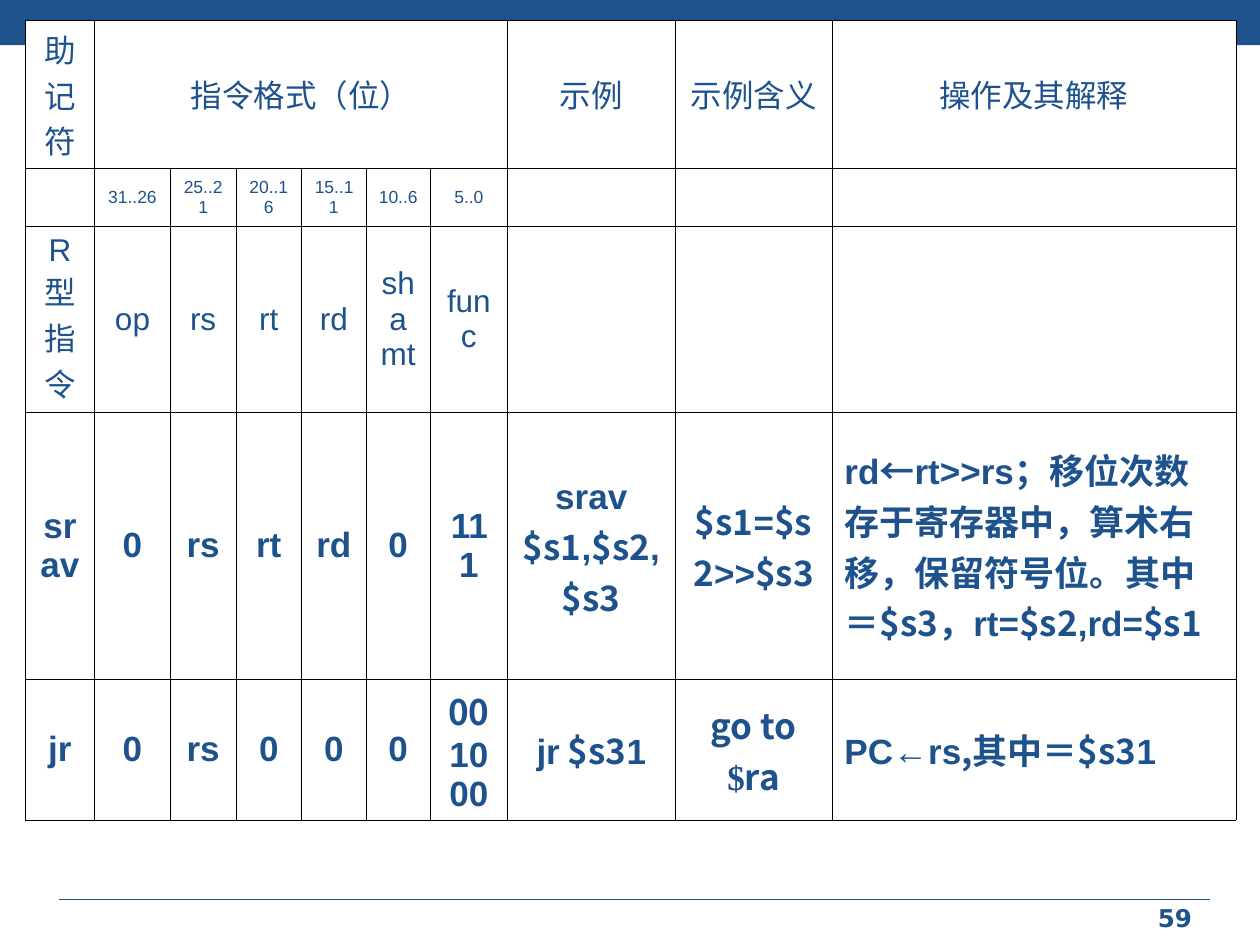
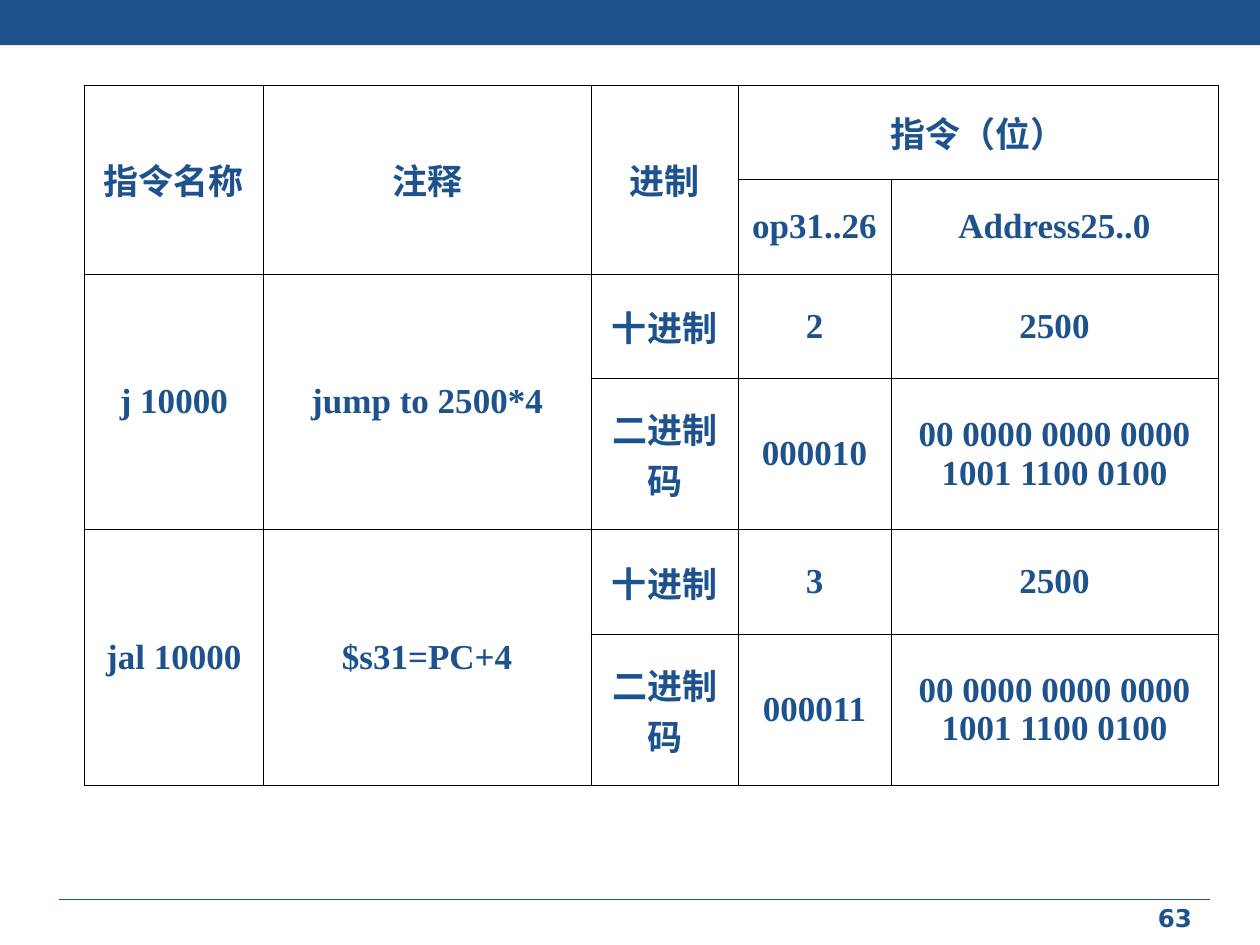
from itertools import cycle

from lxml.etree import SubElement
from pptx import Presentation
from pptx.dml.color import RGBColor
from pptx.enum.shapes import MSO_CONNECTOR as CONN, MSO_SHAPE as SHAPE
from pptx.enum.text import MSO_ANCHOR as ANCHOR, PP_ALIGN as ALIGN
from pptx.oxml.ns import qn
from pptx.util import Inches, Pt

COLORS = {"navy": "1D528D", "white": "FFFFFF", "grid": "000000"}
FONTS = {"sans": "Arial", "cjk": "Noto Sans CJK SC",
         "serif": "Times New Roman", "number": "DejaVu Sans"}
W, H = Inches(10), Inches(7.5)
BAND = (0, 0, 1, 0.048)
RULE = (0.047, 0.952, 0.913, 0)
NUMBER = (0.847, 0.949, 0.147, 0.044)


def color(name):
    return RGBColor.from_string(COLORS[name])


def place(box):
    x, y, w, h = box
    return round(x * W), round(y * H), round(w * W), round(h * H)


def mix(*texts):
    return list(zip(cycle(("sans", "cjk")), texts))


def add_runs(p, runs, size, bold):
    for font, text in runs:
        r = p.add_run()
        r.text = text
        style = {"name": FONTS[font], "size": Pt(size), "bold": bold}
        for key, value in style.items():
            setattr(r.font, key, value)
        r.font.color.rgb = color("navy")
        SubElement(r._r.get_or_add_rPr(), qn("a:ea"), typeface=FONTS["cjk"])


def add_frame(s, number):
    band = s.shapes.add_shape(SHAPE.RECTANGLE, *place(BAND))
    band.shadow.inherit = False
    band.fill.solid()
    band.fill.fore_color.rgb = color("navy")
    band.line.fill.background()

    x, y, w, h = place(RULE)
    rule = s.shapes.add_connector(CONN.STRAIGHT, x, y, x + w, y + h)
    rule.line.color.rgb = color("navy")
    rule.line.width = Pt(0.75)
    SubElement(rule._element.spPr, qn("a:effectLst"))

    tf = s.shapes.add_textbox(*place(NUMBER)).text_frame
    tf.word_wrap = True
    p = tf.paragraphs[0]
    p.alignment = ALIGN.CENTER
    p._p.get_or_add_pPr().set("marL", str(Inches(0.24)))
    add_runs(p, [("number", str(number))], 14, True)


def format_cell(cell):
    tcPr = cell._tc.get_or_add_tcPr()
    for side in ("lnL", "lnR", "lnT", "lnB"):
        ln = SubElement(tcPr, qn(f"a:{side}"), w=str(Pt(0.23)))
        fill = SubElement(ln, qn("a:solidFill"))
        SubElement(fill, qn("a:srgbClr"), val=COLORS["grid"])
    cell.fill.solid()
    cell.fill.fore_color.rgb = color("white")
    cell.vertical_anchor = ANCHOR.MIDDLE


def add_grid(s, box, cols, rows, cells, styles, merges, font, left=()):
    x, y, w, h = place(box)
    table = s.shapes.add_table(len(rows), len(cols), x, y, w, h).table
    table.first_row = table.horz_banding = False
    for tracks, shares, attr, length in ((table.columns, cols, "width", w),
                                         (table.rows, rows, "height", h)):
        for track, share in zip(tracks, shares):
            setattr(track, attr, round(length * share / sum(shares)))
    for i, (row, (size, bold)) in enumerate(zip(cells, styles)):
        for j, content in enumerate(row):
            cell = table.cell(i, j)
            format_cell(cell)
            p = cell.text_frame.paragraphs[0]
            p.alignment = ALIGN.LEFT if (i, j) in left else ALIGN.CENTER
            if not content:
                p.font.size = Pt(size)
                continue
            runs = [(font, content)] if isinstance(content, str) else content
            add_runs(p, runs, size, bold)
    for (top, start), (bottom, end) in merges:
        table.cell(top, start).merge(table.cell(bottom, end))


def add_r_type_slide(prs):
    s = prs.slides.add_slide(prs.slide_layouts[6])
    add_frame(s, 59)
    cells = [
        ["助记符", mix("指令格式", "（位）"), *[None] * 5, "示例", "示例含义", "操作及其解释"],
        [None, "31..26", "25..21", "20..16", "15..11", "10..6", "5..0", *[None] * 3],
        [mix("R", "型指令"), "op", "rs", "rt", "rd", "shamt", "func", *[None] * 3],
        ["srav", "0", "rs", "rt", "rd", "0", "111",
         mix("srav", " $s1", ",", "$s2", ",", "$s3"),
         mix("", "$s1", "=", "$s2", ">>", "$s3")[1:],
         mix("rd", "←", "rt>>rs", "；移位次数存于寄存器中，算术右移，保留符号位。",
             "其中", "＝$s3，", "rt=", "$s2", ",rd=", "$s1")],
        ["jr", "0", "rs", "0", "0", "0", mix("", "00", "1000")[1:],
         mix("jr", " $s3", "1"),
         [("cjk", "go to "), ("serif", "$"), ("cjk", "ra")],
         mix("PC←rs", ",", "其中", "＝$s3", "1")],
    ]
    add_grid(s, (0.02, 0.021, 0.961, 0.847),
             (0.55, 0.6, 0.52, 0.52, 0.51, 0.51, 0.61, 1.33, 1.24, 3.2),
             (1.18, 0.46, 1.47, 2.12, 1.12), cells,
             [(18, False), (10, False), (18, False), (20, True), (20, True)],
             [((0, 1), (0, 6))], "sans", left={(3, 9), (4, 9)})


def add_jump_slide(prs):
    s = prs.slides.add_slide(prs.slide_layouts[6])
    add_frame(s, 63)
    cells = [["指令名称", "注释", "进制", "指令（位）", None],
             [None, None, None, "op31..26", "Address25..0"]]
    for name, note, op, code in (("j 10000", "jump to 2500*4", "2", "000010"),
                                 ("jal 10000", "$s31=PC+4", "3", "000011")):
        cells += [[name, note, "十进制", op, "2500"],
                  [None, None, "二进制码", code, "00 0000 0000 0000 1001 1100 0100"]]
    tall = [(0, 0), (0, 1), (0, 2), (2, 0), (2, 1), (4, 0), (4, 1)]
    merges = [((i, j), (i + 1, j)) for i, j in tall] + [((0, 3), (0, 4))]
    add_grid(s, (0.067, 0.09, 0.9, 0.741), (1.42, 2.6, 1.17, 1.21, 2.6),
             (0.75, 0.75, 0.83, 1.2, 0.83, 1.2), cells,
             [(20, True)] * len(cells), merges, "serif")


def main():
    prs = Presentation()
    prs.slide_width, prs.slide_height = W, H
    add_r_type_slide(prs)
    add_jump_slide(prs)
    prs.save("out.pptx")


if __name__ == "__main__":
    main()
